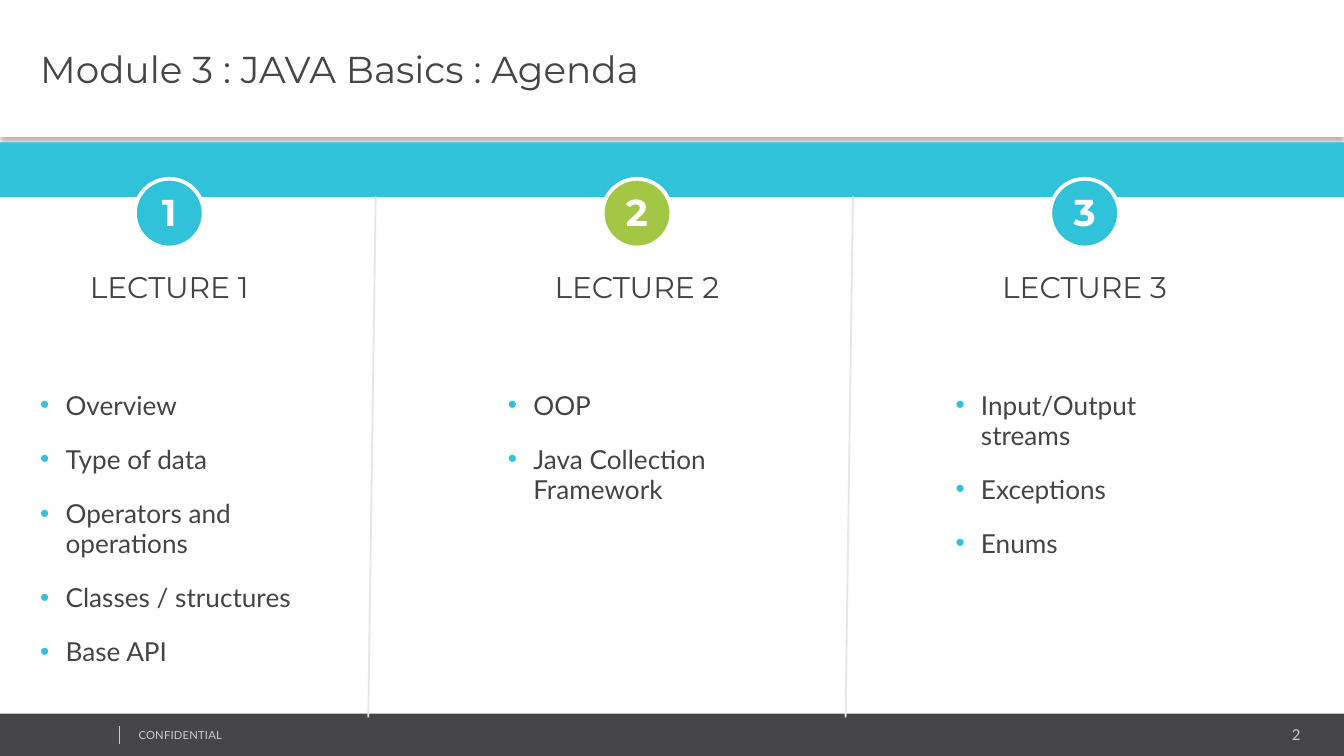
from lxml import etree
from pptx import Presentation
from pptx.dml.color import RGBColor
from pptx.enum.shapes import MSO_CONNECTOR, MSO_SHAPE
from pptx.enum.text import MSO_ANCHOR, MSO_AUTO_SIZE, PP_ALIGN
from pptx.oxml.ns import qn
from pptx.util import Cm, Pt

RECT, OVAL = MSO_SHAPE.RECTANGLE, MSO_SHAPE.OVAL
STRAIGHT = MSO_CONNECTOR.STRAIGHT
MIDDLE = MSO_ANCHOR.MIDDLE
GROW = MSO_AUTO_SIZE.SHAPE_TO_FIT_TEXT
LEFT, CENTER, RIGHT = PP_ALIGN.LEFT, PP_ALIGN.CENTER, PP_ALIGN.RIGHT

HEAD, BODY = "Montserrat", "Lato"
COLORS = {
    "white": "FFFFFF", "dark": "464547", "text": "444444", "teal": "2FC2D9",
    "green": "A3C644", "rule": "E6E6E6", "foot": "CCCCCC", "black": "000000",
}
WIDE, HIGH = 25.4, 14.29
COL_W = 5.38
BADGE = 1.3
INDENT = 0.48
SMALL_PAD = (0.18, 0.1, 0.18, 0.1)
LECTURES = [
    (0.51, "teal", ["Overview", "Type of data", "Operators and operations",
                    "Classes / structures", "Base API"]),
    (9.35, "green", ["OOP", "Java Collection Framework"]),
    (17.81, "teal", ["Input/Output streams", "Exceptions", "Enums"]),
]


def rgb(name):
    return RGBColor.from_string(COLORS[name])


def add_shape(slide, kind, box, fill, line=None):
    shape = slide.shapes.add_shape(kind, *map(Cm, box))
    shape.shadow.inherit = False
    shape.fill.solid()
    shape.fill.fore_color.rgb = rgb(fill)
    if line:
        shape.line.color.rgb = rgb(line)
        shape.line.width = Pt(2)
    else:
        shape.line.fill.background()
    return shape


def add_line(slide, start, end, color, width):
    line = slide.shapes.add_connector(STRAIGHT, *map(Cm, start + end))
    line.line.color.rgb = rgb(color)
    line.line.width = Pt(width)
    etree.SubElement(line._element.spPr, qn("a:effectLst"))


def set_pad(frame, pad):
    (frame.margin_left, frame.margin_top,
     frame.margin_right, frame.margin_bottom) = map(Cm, pad)


def add_run(par, text, size, font, color, bold=False):
    run = par.add_run()
    run.text = text
    run.font.size = Pt(size)
    run.font.name = font
    run.font.bold = bold
    run.font.color.rgb = rgb(color)
    return run


def add_frame(slide, box, pad=None):
    """Add a wrapping text box that grows with its text."""
    frame = slide.shapes.add_textbox(*map(Cm, box)).text_frame
    frame.word_wrap = True
    frame.auto_size = GROW
    if pad:
        set_pad(frame, pad)
    return frame


def add_label(shape, text, align, pad, bold, color):
    """Write one middle-anchored heading inside a shape."""
    frame = shape.text_frame
    frame.vertical_anchor = MIDDLE
    frame.word_wrap = True
    set_pad(frame, pad)
    par = frame.paragraphs[0]
    par.alignment = align
    add_run(par, text, 20, HEAD, color, bold)


def add_bullet(par):
    props = par._p.get_or_add_pPr()
    props.set("marL", str(Cm(INDENT)))
    props.set("indent", str(-Cm(INDENT)))
    color = etree.SubElement(props, qn("a:buClr"))
    etree.SubElement(color, qn("a:srgbClr"), val=COLORS["teal"])
    etree.SubElement(props, qn("a:buFont"), typeface="Arial")
    etree.SubElement(props, qn("a:buChar"), char="•")


def add_shadow(shape):
    effects = shape._element.spPr.find(qn("a:effectLst"))
    outer = etree.SubElement(
        effects, qn("a:outerShdw"), blurRad=str(Pt(3.1)), dist=str(Pt(2)),
        dir="5400000", algn="t", rotWithShape="0")
    color = etree.SubElement(outer, qn("a:srgbClr"), val=COLORS["black"])
    etree.SubElement(color, qn("a:alpha"), val="30000")


def add_footer(slide, box):
    left, top, width, height = box
    add_shape(slide, RECT, box, "dark")
    add_line(slide, (left + 2.26, top + 0.23), (left + 2.26, top + 0.58),
             "foot", 0.25)
    note = add_frame(slide, (left + 2.44, top + 0.18, 6.43, 0.46), SMALL_PAD)
    run = add_run(note.paragraphs[0], "CONFIDENTIAL", 6, BODY, "foot")
    run.font._element.set("spc", "10")
    page = add_frame(slide, (left + width - 4.78, top + 0.13, 4.14, 0.53),
                     SMALL_PAD)
    page.paragraphs[0].alignment = RIGHT
    add_run(page.paragraphs[0], "2", 8, BODY, "foot")


def add_header(slide, box):
    left, top, width, height = box
    title = add_shape(slide, RECT, box, "white")
    add_shadow(title)
    add_label(title, "Module 3 : JAVA Basics : Agenda", LEFT,
              (0.76, 0.1, 0.18, 0.1), False, "dark")
    add_shape(slide, RECT, (left, top + height + 0.1, width, 1.04), "teal")


def add_lecture(slide, box, number, color, topics):
    left, top, width, height = box
    badge = add_shape(slide, OVAL,
                      (left + (width - BADGE) / 2, top, BADGE, BADGE),
                      color, "white")
    add_label(badge, str(number), CENTER, (0, 0.08, 0, 0.13), True, "white")

    name = add_frame(slide, (left, top + 1.62, width, 0.89)).paragraphs[0]
    name.alignment = CENTER
    name.line_spacing = Pt(18)
    add_run(name, f"LECTURE {number}", 16, HEAD, "text")

    frame = add_frame(slide, (left, top + 3.88, width, height - 3.88))
    for i, topic in enumerate(topics):
        par = frame.add_paragraph() if i else frame.paragraphs[0]
        add_bullet(par)
        par.line_spacing = Pt(16)
        par.space_after = Pt(13)
        add_run(par, topic, 14, BODY, "text")


def main():
    deck = Presentation()
    deck.slide_width, deck.slide_height = Cm(WIDE), Cm(HIGH)
    slide = deck.slides.add_slide(deck.slide_layouts[6])
    add_footer(slide, (0, 13.49, WIDE, 0.84))
    add_header(slide, (0, 0, WIDE, 2.59))
    for x in (6.96, 15.98):
        add_line(slide, (x, 13.56), (x + 0.14, 3.71), "rule", 1)
    for number, (left, color, topics) in enumerate(LECTURES, 1):
        add_lecture(slide, (left, 3.38, COL_W, 9.42), number, color, topics)
    deck.save("out.pptx")


if __name__ == "__main__":
    main()
